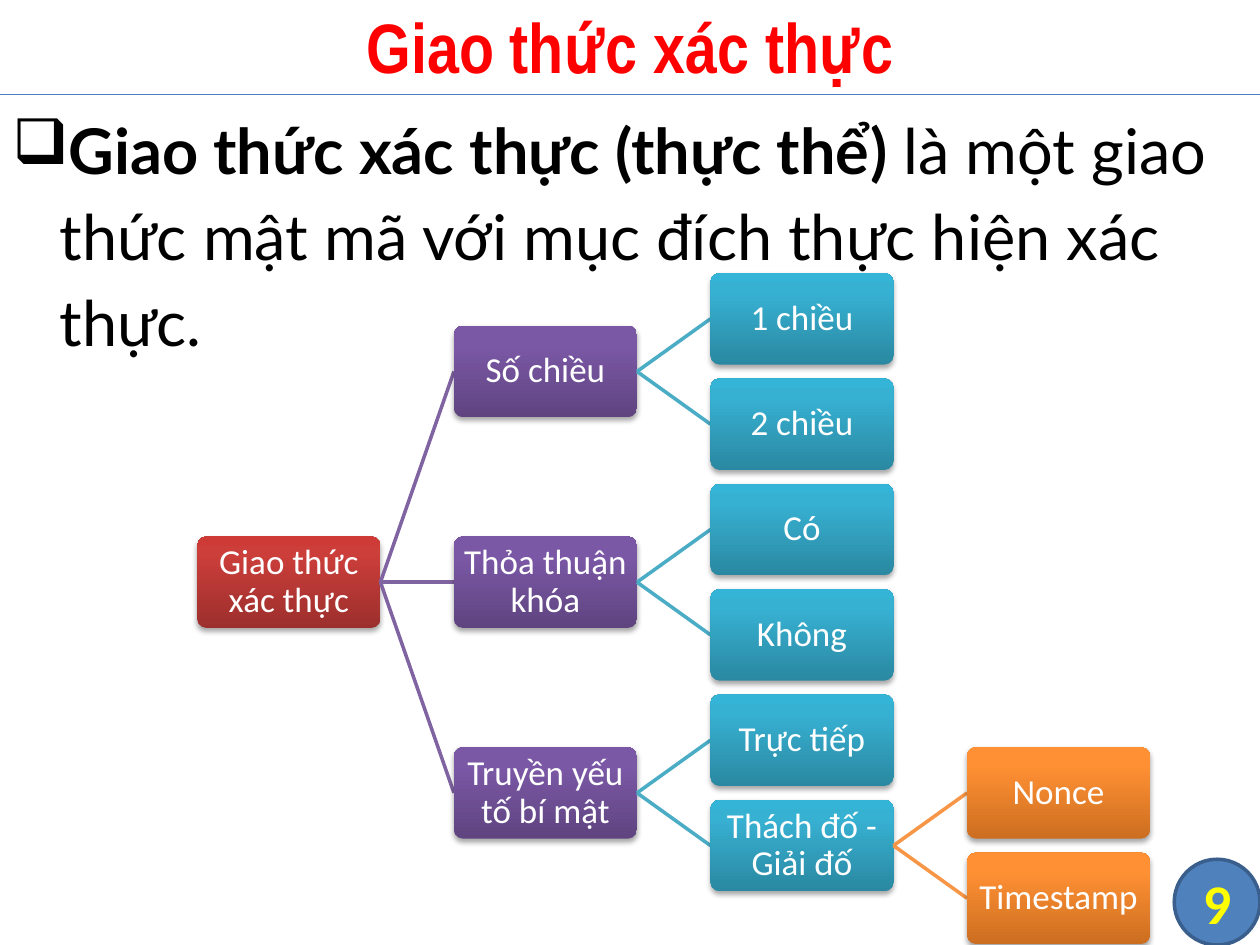
from copy import deepcopy

from lxml import etree
from pptx import Presentation
from pptx.dml.color import RGBColor
from pptx.enum import shapes, text
from pptx.oxml import parse_xml
from pptx.oxml.ns import nsdecls, qn
from pptx.util import Pt

WHITE = RGBColor(0xFF, 0xFF, 0xFF)
BLACK = RGBColor(0, 0, 0)
RED = RGBColor(0xFF, 0, 0)
YELLOW = RGBColor(0xFF, 0xFF, 0)
RULE = RGBColor(0x4B, 0x7E, 0xBC)
BADGE_FILL = RGBColor(0x4F, 0x81, 0xBD)
BADGE_LINE = RGBColor(0x3A, 0x5F, 0x8C)

# Per tree level: gradient from the bottom up, and colour of the incoming branch
GRADIENTS = [
    [RGBColor(0x9C, 0x2F, 0x2D), RGBColor(0xCB, 0x3E, 0x3A), RGBColor(0xCE, 0x3B, 0x37)],
    [RGBColor(0x5F, 0x44, 0x80), RGBColor(0x7B, 0x58, 0xA6), RGBColor(0x7C, 0x57, 0xA8)],
    [RGBColor(0x2A, 0x88, 0xA2), RGBColor(0x37, 0xB1, 0xD2), RGBColor(0x34, 0xB4, 0xD6)],
    [RGBColor(0xCC, 0x6E, 0x20), RGBColor(0xFF, 0x90, 0x34), RGBColor(0xFF, 0x91, 0x36)],
]
BRANCHES = [None, RGBColor(0x80, 0x64, 0xA2), RGBColor(0x4B, 0xAC, 0xC6),
            RGBColor(0xF7, 0x96, 0x46)]
ROW_GAPS = [2, 1, 1]  # rows between siblings below each level

NODE_W, NODE_H = 104.6, 52.3
COL_PITCH, ROW_PITCH = 146.6, 60.2

TREE = ("Giao thức xác thực", [
    ("Số chiều", [("1 chiều", []), ("2 chiều", [])]),
    ("Thỏa thuận khóa", [("Có", []), ("Không", [])]),
    ("Truyền yếu tố bí mật", [
        ("Trực tiếp", []),
        ("Thách đố - Giải đố", [("Nonce", []), ("Timestamp", [])]),
    ]),
])

SHADOW = (f'<a:effectLst {nsdecls("a")}><a:outerShdw blurRad="39400" dist="22900" '
          'dir="5400000" rotWithShape="0"><a:srgbClr val="000000">'
          '<a:alpha val="35000"/></a:srgbClr></a:outerShdw></a:effectLst>')


def style(r, size, font, color, bold=False):
    r.font.size, r.font.name, r.font.bold = Pt(size), font, bold
    r.font.color.rgb = color


def set_label(sp, label, size, font, color, bold=False, inset=0):
    """Centre one styled paragraph in a shape."""
    tf = sp.text_frame
    tf.text = label
    tf.word_wrap = True
    tf.vertical_anchor = text.MSO_ANCHOR.MIDDLE
    tf.margin_left = tf.margin_right = tf.margin_top = tf.margin_bottom = Pt(inset)
    p = tf.paragraphs[0]
    p.alignment = text.PP_ALIGN.CENTER
    style(p.runs[0], size, font, color, bold)
    return p


def add_line(s, x1, y1, x2, y2, color, width):
    ln = s.shapes.add_connector(shapes.MSO_CONNECTOR.STRAIGHT, Pt(x1), Pt(y1), Pt(x2), Pt(y2))
    ln.line.color.rgb, ln.line.width = color, Pt(width)
    etree.SubElement(ln._element.spPr, qn("a:effectLst"))


def add_title(s, x, y, w, h):
    sp = s.shapes.add_textbox(Pt(x), Pt(y), Pt(w), Pt(h))
    set_label(sp, "Giao thức xác thực", 40, "Arial Narrow", RED, True)
    add_line(s, x, y + h, x + w, y + h, RULE, 0.75)


def add_body(s, x, y, w, h):
    tf = s.shapes.add_textbox(Pt(x), Pt(y), Pt(w), Pt(h)).text_frame
    tf.word_wrap = True
    p = tf.paragraphs[0]
    p.line_spacing, p.space_before, p.space_after = 1.14, Pt(6), Pt(6)
    for part, bold in (("Giao thức xác thực (thực thể) ", True),
                       ("là một giao thức mật mã với mục đích thực hiện xác thực.", False)):
        r = p.add_run()
        r.text = part
        style(r, 36, "Lato", BLACK, bold)
    # Hanging bullet
    pPr = p._p.get_or_add_pPr()
    pPr.set("marL", str(Pt(27)))
    pPr.set("indent", str(-Pt(27)))
    etree.SubElement(pPr, qn("a:buChar")).set("char", "❑")


def add_badge(s, x, y, size):
    sp = s.shapes.add_shape(shapes.MSO_SHAPE.FLOWCHART_CONNECTOR,
                            Pt(x), Pt(y), Pt(size), Pt(size))
    sp.shadow.inherit = False
    sp.fill.solid()
    sp.fill.fore_color.rgb = BADGE_FILL
    sp.line.color.rgb, sp.line.width = BADGE_LINE, Pt(2)
    set_label(sp, "9", 32, "Calibri", YELLOW, True)


def add_node(s, x, y, label, colors):
    sp = s.shapes.add_shape(shapes.MSO_SHAPE.ROUNDED_RECTANGLE,
                            Pt(x), Pt(y), Pt(NODE_W), Pt(NODE_H))
    sp.adjustments[0] = 0.1
    sp.line.fill.background()
    sp.fill.gradient()
    sp.fill.gradient_angle = 90
    stops = sp._element.spPr.find(qn("a:gradFill")).find(qn("a:gsLst"))
    stops.append(deepcopy(stops[-1]))
    for stop, position, color in zip(sp.fill.gradient_stops, (0, 0.8, 1), colors):
        stop.position, stop.color.rgb = position, color
    sp._element.spPr.append(parse_xml(SHADOW))
    set_label(sp, label, 20, "Calibri", WHITE, inset=2.2).line_spacing = 0.9


def add_tree(s, x, mid, node, level=0):
    """Draw a node centred on mid, then its branches and children to the right."""
    label, children = node
    add_node(s, x, mid - NODE_H / 2, label, GRADIENTS[level])
    for i, child in enumerate(children):
        offset = (i - (len(children) - 1) / 2) * ROW_GAPS[level]
        child_mid = mid + offset * ROW_PITCH
        add_line(s, x + NODE_W, mid, x + COL_PITCH, child_mid, BRANCHES[level + 1], 2)
        add_tree(s, x + COL_PITCH, child_mid, child, level + 1)


def main():
    prs = Presentation()
    prs.slide_width, prs.slide_height = Pt(720), Pt(540)
    s = prs.slides.add_slide(prs.slide_layouts[6])
    add_body(s, 0, 54, 720, 486)
    add_title(s, 0, -2, 720, 56)
    add_badge(s, 671, 491, 49)
    add_tree(s, 112.8, 332.7, TREE)
    prs.save("out.pptx")


if __name__ == "__main__":
    main()
